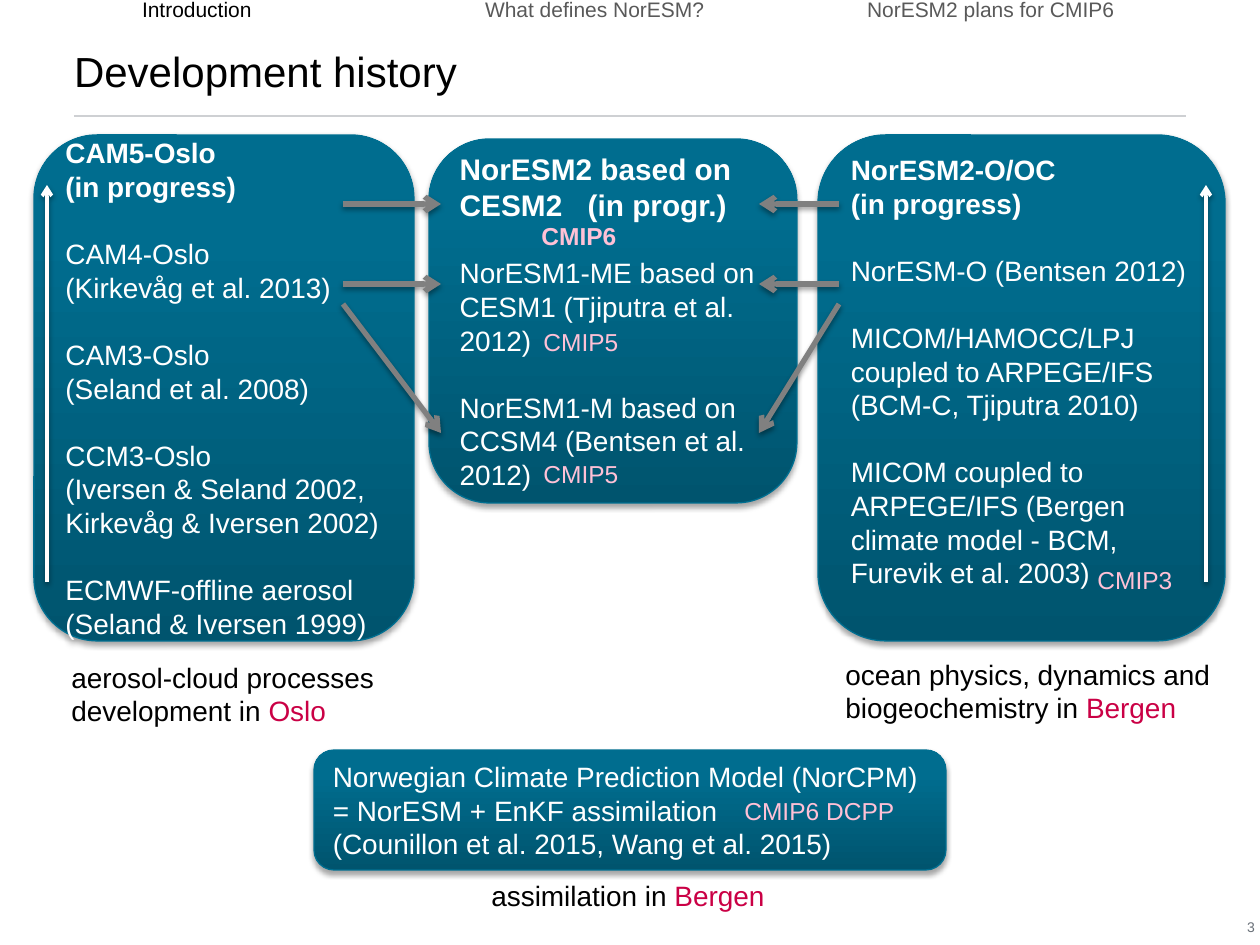
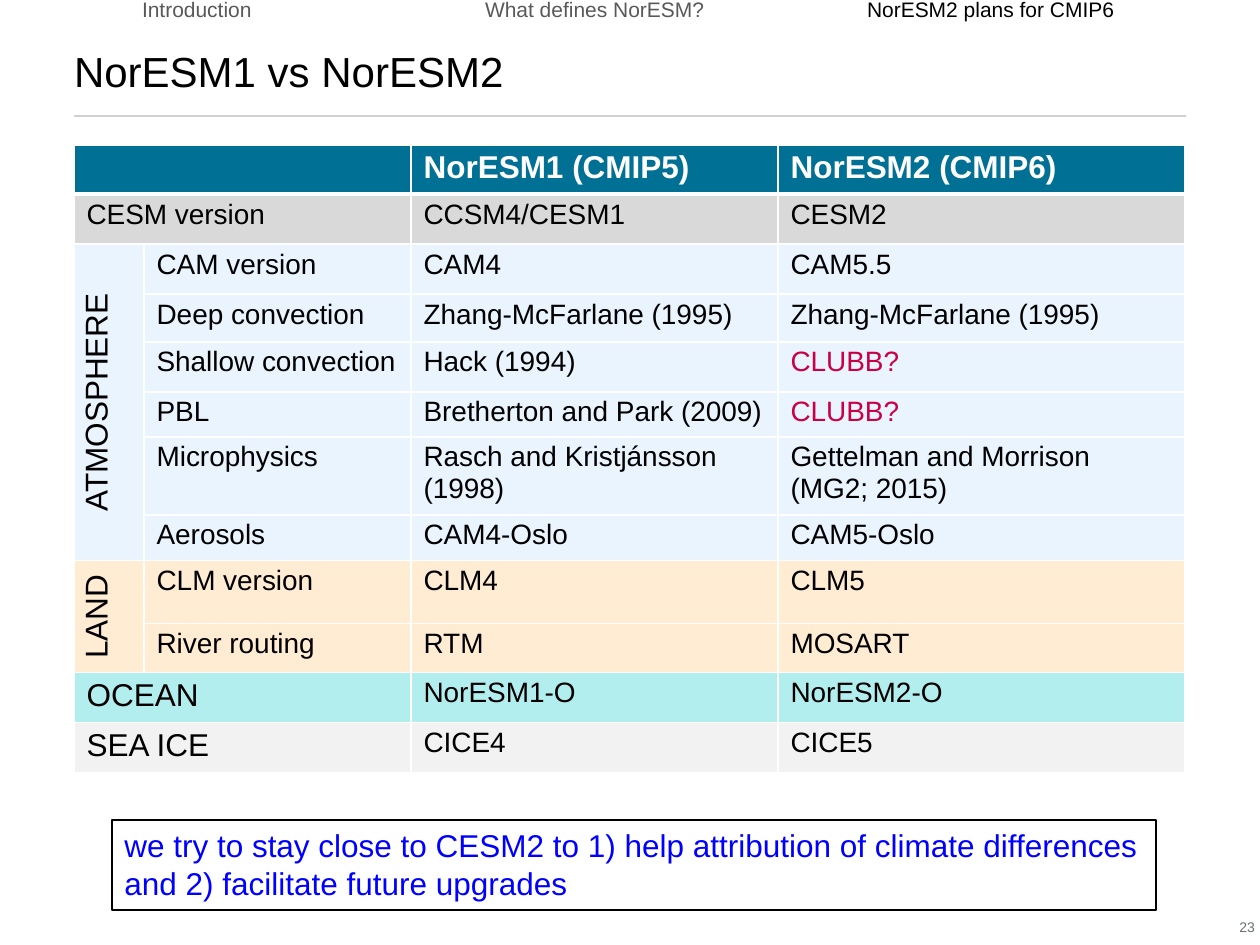
import pptx
import pptx.util
import pptx.dml.color
import pptx.enum.shapes
import pptx.enum.text
import pptx.oxml
import pptx.oxml.ns
import pptx.oxml.xmlchemy

SCALE = 914400 / 126
FONT = "Arial"
BLACK, WHITE, GREY = "000000", "FFFFFF", "808080"
TEAL, RED, PINK = "007194", "CA0045", "FFC1D6"
RULE, MUTED, PAGE_GREY, BLUE = "CED0D3", "595959", "697078", "0000FF"
BOX_DARK, BOX_LIGHT, BOX_EDGE = "00546E", "006D8F", "006F91"
VERSION_ROW, AIR, LAND, SEA, ICE = "D9D9D9", "E9F4FE", "FFECD2", "B3EEEF", "F2F2F2"

SECTIONS = ["Introduction", "What defines NorESM?", "NorESM2 plans for CMIP6"]
GROUP_GAP = 19.2

ATMOSPHERE_GROUP = [
    ["CAM5-Oslo", "(in progress)"],
    ["CAM4-Oslo", "(Kirkevåg et al. 2013)"],
    ["CAM3-Oslo", "(Seland et al. 2008)"],
    ["CCM3-Oslo", "(Iversen & Seland 2002, Kirkevåg & Iversen 2002)"],
    ["ECMWF-offline aerosol", "(Seland & Iversen 1999)"],
]
COUPLED_GROUP = [
    ["NorESM2 based on CESM2\t(in progr.)"],
    ["NorESM1-ME based on CESM1 (Tjiputra et al. 2012)"],
    ["NorESM1-M based on CCSM4 (Bentsen et al. 2012)"],
]
OCEAN_GROUP = [
    ["NorESM2-O/OC", "(in progress)"],
    ["NorESM-O (Bentsen 2012)"],
    ["MICOM/HAMOCC/LPJ coupled to ARPEGE/IFS (BCM-C, Tjiputra 2010)"],
    ["MICOM coupled to ARPEGE/IFS (Bergen climate model - BCM, Furevik et al. 2003)"],
]

COLUMN_WIDTHS = [70, 267, 367, 407]
ROW_HEIGHTS = [49, 50, 50, 48, 50, 45, 78, 46, 63, 49, 50, 50]
COMPARISON = [
    (TEAL, "", "", "NorESM1 (CMIP5)", "NorESM2 (CMIP6)"),
    (VERSION_ROW, "CESM version", "", "CCSM4/CESM1", "CESM2"),
    (AIR, "ATMOSPHERE", "CAM version", "CAM4", "CAM5.5"),
    (AIR, "", "Deep convection", "Zhang-McFarlane (1995)", "Zhang-McFarlane (1995)"),
    (AIR, "", "Shallow convection", "Hack (1994)", "CLUBB?"),
    (AIR, "", "PBL", "Bretherton and Park (2009)", "CLUBB?"),
    (AIR, "", "Microphysics", "Rasch and Kristjánsson (1998)",
     "Gettelman and Morrison (MG2; 2015)"),
    (AIR, "", "Aerosols", "CAM4-Oslo", "CAM5-Oslo"),
    (LAND, "LAND", "CLM version", "CLM4", "CLM5"),
    (LAND, "", "River routing", "RTM", "MOSART"),
    (SEA, "OCEAN", "", "NorESM1-O", "NorESM2-O"),
    (ICE, "SEA ICE", "", "CICE4", "CICE5"),
]
COMPONENTS = {"ATMOSPHERE", "LAND", "OCEAN", "SEA ICE"}


def px(*lengths):
    return [pptx.util.Emu(round(length * SCALE)) for length in lengths]


def rgb(color):
    return pptx.dml.color.RGBColor.from_string(color)


def add_xml(parent, tag, **attributes):
    child = pptx.oxml.xmlchemy.OxmlElement(tag)
    for key, value in attributes.items():
        child.set(key, str(value))
    parent.append(child)
    return child


def style(run, size, color=BLACK, bold=False):
    run.font.name, run.font.size = FONT, pptx.util.Pt(size)
    run.font.bold, run.font.color.rgb = bold, rgb(color)


def add_runs(paragraph, parts, size):
    """Parts are pairs of wording and colour."""
    for wording, color in parts:
        run = paragraph.add_run()
        run.text = wording
        style(run, size, color)


def set_tabs(paragraph, stops):
    tabs = add_xml(paragraph._p.get_or_add_pPr(), "a:tabLst")
    for stop in stops:
        add_xml(tabs, "a:tab", pos=px(stop)[0], algn="l")


def set_insets(frame, left=0, top=0, right=0, bottom=0):
    frame.margin_left, frame.margin_top, frame.margin_right, frame.margin_bottom = px(
        left, top, right, bottom)


def add_text(slide, box, lines, size):
    """Each line is a list of (wording, colour) parts."""
    frame = slide.shapes.add_textbox(*px(*box)).text_frame
    frame.word_wrap = True
    for index, parts in enumerate(lines):
        paragraph = frame.add_paragraph() if index else frame.paragraphs[0]
        add_runs(paragraph, parts, size)
    return frame


def add_shadow(effects, alpha, distance):
    shadow = add_xml(effects, "a:outerShdw", blurRad=pptx.util.Pt(3.1),
                     dist=pptx.util.Pt(distance), dir=5400000, rotWithShape=0)
    add_xml(add_xml(shadow, "a:srgbClr", val=BLACK), "a:alpha", val=alpha * 1000)


def add_line(slide, start, end, color, width, arrow=False):
    line = slide.shapes.add_connector(
        pptx.enum.shapes.MSO_CONNECTOR.STRAIGHT, *px(*start, *end))
    line.line.color.rgb, line.line.width = rgb(color), pptx.util.Pt(width)
    if arrow:
        add_xml(line.line._get_or_add_ln(), "a:tailEnd", type="arrow")
    effects = add_xml(line._element.spPr, "a:effectLst")
    if arrow:
        add_shadow(effects, 38, 1.6)


def add_model_box(slide, box, groups, heading_size=16, bold_heading=True, bottom_inset=6):
    """A shaded rounded box; each group of lines is set off by a gap."""
    shape = slide.shapes.add_shape(
        pptx.enum.shapes.MSO_SHAPE.ROUNDED_RECTANGLE, *px(*box))
    shape.fill.gradient()
    shape.fill.gradient_angle = 90
    for stop, color, position in zip(
            shape.fill.gradient_stops, (BOX_DARK, BOX_LIGHT), (0, 0.8)):
        stop.color.rgb, stop.position = rgb(color), position
    shape.line.color.rgb, shape.line.width = rgb(BOX_EDGE), pptx.util.Pt(0.75)
    shape.shadow.inherit = False
    add_shadow(shape._element.spPr.find(pptx.oxml.ns.qn("a:effectLst")), 35, 1.8)

    frame = shape.text_frame
    frame.word_wrap = True
    frame.vertical_anchor = pptx.enum.text.MSO_ANCHOR.MIDDLE
    set_insets(frame, 13, 6, 13, bottom_inset)
    frame.text = "\n".join(line for group in groups for line in group)
    paragraphs = iter(frame.paragraphs)
    for group_index, group in enumerate(groups):
        heading = group_index == 0
        for line_index, _ in enumerate(group):
            paragraph = next(paragraphs)
            paragraph.alignment = pptx.enum.text.PP_ALIGN.LEFT
            if group_index and not line_index:
                paragraph.space_before = pptx.util.Pt(GROUP_GAP)
            for run in paragraph.runs:
                style(run, heading_size if heading else 16, WHITE, heading and bold_heading)
    return frame


def add_tag(slide, box, offset, wording, width=110):
    """A pink project tag, offset from the corner of its model box."""
    left, top = box[0] + offset[0], box[1] + offset[1]
    return add_text(slide, (left, top, width, 43), [[(wording, PINK)]], 14)


def add_frame_slide(deck, title, section, number):
    """Section bar, title, rule and page number."""
    slide = deck.slides.add_slide(deck.slide_layouts[5])
    heading = slide.shapes.title
    heading.left, heading.top, heading.width, heading.height = px(74, 46, 1111, 50)
    frame = heading.text_frame
    frame.text = title
    frame.vertical_anchor = pptx.enum.text.MSO_ANCHOR.BOTTOM
    set_insets(frame)
    frame.paragraphs[0].alignment = pptx.enum.text.PP_ALIGN.LEFT
    style(frame.paragraphs[0].runs[0], 24)
    add_line(slide, (74, 116), (1186, 116), RULE, 0.85)

    parts = [(("\t" if index else "") + name, BLACK if name == section else MUTED)
             for index, name in enumerate(SECTIONS)]
    bar = add_text(slide, (142, -3, 1000, 26), [parts], 12)
    set_insets(bar)
    set_tabs(bar.paragraphs[0], [343, 725])

    page = add_text(slide, (965, 919, 290, 16), [[(number, PAGE_GREY)]], 8)
    set_insets(page)
    page.vertical_anchor = pptx.enum.text.MSO_ANCHOR.MIDDLE
    page.paragraphs[0].alignment = pptx.enum.text.PP_ALIGN.RIGHT
    return slide


def add_timeline(slide, box, offset):
    """An upward arrow inside a model box."""
    x = box[0] + offset
    add_line(slide, (x, box[1] + 447), (x, box[1] + 50), WHITE, 2, arrow=True)


def add_history(slide):
    oslo, coupled, bergen = (34, 135, 380, 506), (429, 139, 368, 364), (818, 135, 407, 506)
    prediction = (314, 750, 632, 120)
    add_model_box(slide, bergen, OCEAN_GROUP, bottom_inset=40)
    center = add_model_box(slide, coupled, COUPLED_GROUP, heading_size=17)
    set_tabs(center.paragraphs[0], [128])
    add_model_box(slide, prediction, [[
        "Norwegian Climate Prediction Model (NorCPM) = NorESM + EnKF assimilation",
        "(Counillon et al. 2015, Wang et al. 2015)"]], bold_heading=False)
    add_model_box(slide, oslo, ATMOSPHERE_GROUP)

    add_tag(slide, bergen, (267, 424), "CMIP3")
    newest = add_tag(slide, coupled, (100, 76), "CMIP6")
    newest.paragraphs[0].runs[0].font.bold = True
    for top in (182, 314):
        add_tag(slide, coupled, (102, top), "CMIP5")
    add_tag(slide, prediction, (418, 40), "CMIP6 DCPP", 190)

    add_text(slide, (59, 654, 350, 81), [
        [("aerosol-cloud processes", BLACK)],
        [("development in ", BLACK), ("Oslo", RED)]], 16)
    add_text(slide, (833, 651, 420, 81), [
        [("ocean physics, dynamics and biogeochemistry in ", BLACK), ("Bergen", RED)]], 16)
    add_text(slide, (479, 872, 330, 47), [
        [("assimilation in ", BLACK), ("Bergen", RED)]], 16)

    for start, end in ((343, 441), (839, 759)):
        for start_y, end_y in ((304, 433), (284, 284), (204, 204)):
            add_line(slide, (start, start_y), (end, end_y), GREY, 3, arrow=True)
    add_timeline(slide, oslo, 13)
    add_timeline(slide, bergen, 388)


def format_cell(cell, row, fill):
    cell.margin_top, cell.margin_bottom = px(5, 5)
    properties = cell._tc.get_or_add_tcPr()
    for side in "LRTB":
        thick = (row, side) in ((0, "B"), (1, "T"))
        border = add_xml(properties, f"a:ln{side}", w=pptx.util.Pt(3 if thick else 1))
        add_xml(add_xml(border, "a:solidFill"), "a:srgbClr", val=WHITE)
    cell.fill.solid()
    cell.fill.fore_color.rgb = rgb(fill)


def write_cell(cell, wording, header):
    cell.text = wording
    component = wording in COMPONENTS
    color = WHITE if header else RED if wording == "CLUBB?" else BLACK
    for run in cell.text_frame.paragraphs[0].runs:
        style(run, 18 if header or component else 16, color, header)


def add_comparison(slide, left, top):
    table = slide.shapes.add_table(
        len(COMPARISON), len(COLUMN_WIDTHS),
        *px(left, top, sum(COLUMN_WIDTHS), sum(ROW_HEIGHTS))).table
    table.first_row = table.horz_banding = False
    for column, width in zip(table.columns, px(*COLUMN_WIDTHS)):
        column.width = width
    for row, height in zip(table.rows, px(*ROW_HEIGHTS)):
        row.height = height
    for row, (fill, *wordings) in enumerate(COMPARISON):
        for column, wording in enumerate(wordings):
            cell = table.cell(row, column)
            format_cell(cell, row, fill)
            if wording:
                write_cell(cell, wording, row == 0)
    for row in (0, 1, 10, 11):
        table.cell(row, 0).merge(table.cell(row, 1))
    for first, last in ((2, 7), (8, 9)):
        component = table.cell(first, 0)
        component.merge(table.cell(last, 0))
        component._tc.get_or_add_tcPr().set("vert", "vert270")
        component.text_frame.paragraphs[0].alignment = pptx.enum.text.PP_ALIGN.CENTER


def add_strategy(slide, box):
    shape = slide.shapes.add_shape(pptx.enum.shapes.MSO_SHAPE.RECTANGLE, *px(*box))
    shape.shadow.inherit = False
    shape.fill.background()
    shape.line.color.rgb, shape.line.width = rgb(BLACK), pptx.util.Pt(0.75)
    frame = shape.text_frame
    frame.word_wrap = True
    frame.vertical_anchor = pptx.enum.text.MSO_ANCHOR.TOP
    frame.text = ("we try to stay close to CESM2 to 1) help attribution of climate "
                  "differences and 2) facilitate future upgrades")
    paragraph = frame.paragraphs[0]
    paragraph.alignment = pptx.enum.text.PP_ALIGN.LEFT
    style(paragraph.runs[0], 18, BLUE)


def main():
    deck = pptx.Presentation()
    deck.slide_width, deck.slide_height = px(1260, 945)
    add_history(add_frame_slide(deck, "Development history", SECTIONS[0], "3"))
    versions = add_frame_slide(deck, "NorESM1 vs NorESM2", SECTIONS[2], "23")
    add_comparison(versions, 74, 145)
    add_strategy(versions, (112, 820, 1044, 90))
    deck.save("out.pptx")


if __name__ == "__main__":
    main()
